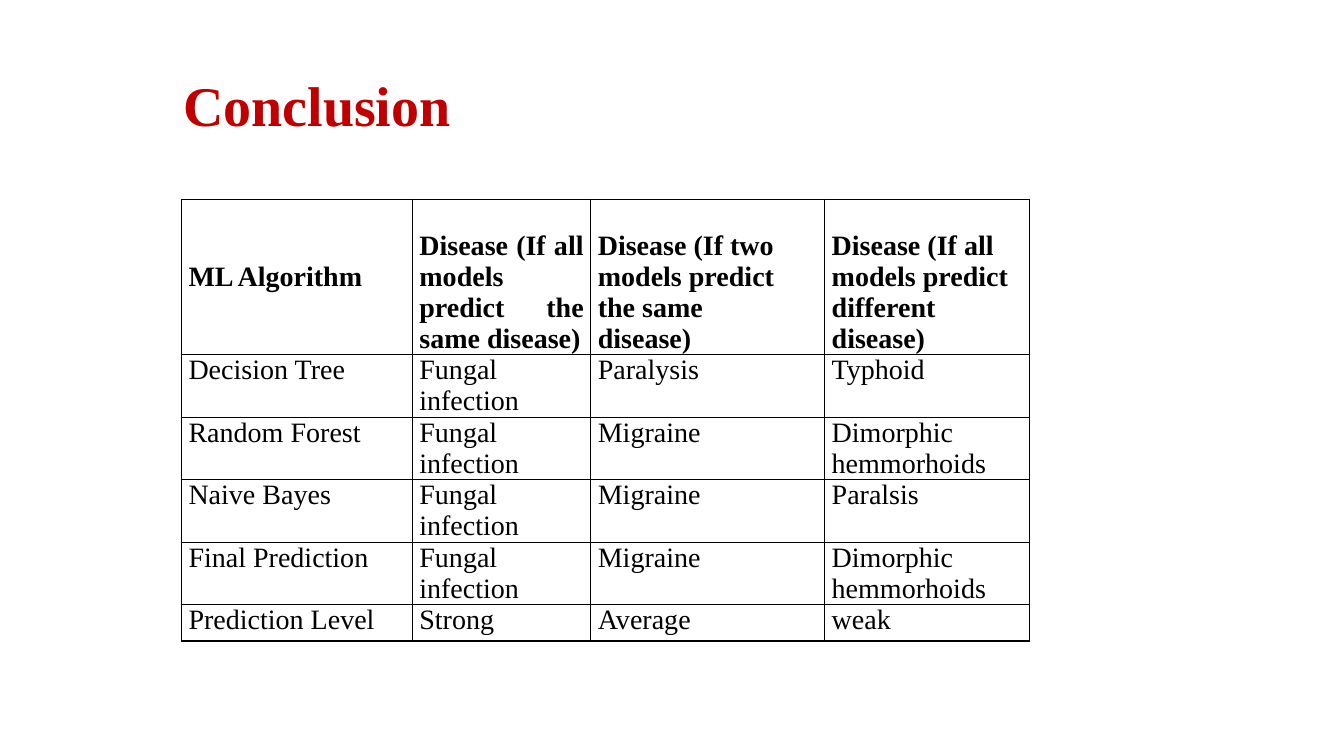
import pptx
import pptx.dml.color
import pptx.enum.text
import pptx.oxml
import pptx.util
from pptx.util import Inches

RED = pptx.dml.color.RGBColor(0xC0, 0x00, 0x00)
BLACK = pptx.dml.color.RGBColor(0x00, 0x00, 0x00)
WHITE = pptx.dml.color.RGBColor(0xFF, 0xFF, 0xFF)

LEFT = pptx.enum.text.PP_ALIGN.LEFT
JUSTIFY = pptx.enum.text.PP_ALIGN.JUSTIFY
ANCHOR = pptx.enum.text.MSO_ANCHOR

TITLE_FONT = {"name": "Times New Roman", "size": pptx.util.Pt(40), "bold": True}
HEADER_FONT = {"name": "Times New Roman", "size": pptx.util.Pt(20), "bold": True}
BODY_FONT = {**HEADER_FONT, "bold": False}
CELL_MARGINS = {
    "margin_left": Inches(0.07), "margin_right": Inches(0.07),
    "margin_top": 0, "margin_bottom": 0,
}

COLUMN_WIDTHS = [2.29, 1.77, 2.32, 2.03]
ROW_HEIGHTS = [1.54] + [0.62] * 4 + [0.36]
HEADERS = [
    [("ML Algorithm", LEFT)],
    [("Disease (If all models predict the same disease)", JUSTIFY)],
    [("Disease (If two", LEFT), ("models predict", LEFT),
     ("the same", LEFT), ("disease)", JUSTIFY)],
    [("Disease (If all", LEFT), ("models predict", LEFT),
     ("different disease)", JUSTIFY)],
]
PREDICTIONS = [
    ["Decision Tree", "Fungal infection", "Paralysis", "Typhoid"],
    ["Random Forest", "Fungal infection", "Migraine", "Dimorphic hemmorhoids"],
    ["Naive Bayes", "Fungal infection", "Migraine", "Paralsis"],
    ["Final Prediction", "Fungal infection", "Migraine", "Dimorphic hemmorhoids"],
    ["Prediction Level", "Strong", "Average", "weak"],
]


def apply_format(target, values):
    for attribute, value in values.items():
        setattr(target, attribute, value)


def write_lines(frame, lines, font, color):
    for index, (text, alignment) in enumerate(lines):
        paragraph = frame.add_paragraph() if index else frame.paragraphs[0]
        paragraph.alignment = alignment
        run = paragraph.add_run()
        run.text = text
        apply_format(run.font, font)
        run.font.color.rgb = color


def add_borders(cell):
    properties = cell._tc.get_or_add_tcPr()
    for position, side in enumerate(("lnL", "lnR", "lnT", "lnB")):
        border = pptx.oxml.parse_xml(
            f'<a:{side} xmlns:a="http://schemas.openxmlformats.org/drawingml/2006/main" '
            f'w="12700"><a:solidFill><a:srgbClr val="{BLACK}"/></a:solidFill></a:{side}>'
        )
        properties.insert(position, border)


def fill_cell(cell, lines, font, anchor):
    apply_format(cell, {**CELL_MARGINS, "vertical_anchor": anchor})
    cell.fill.solid()
    cell.fill.fore_color.rgb = WHITE
    add_borders(cell)
    write_lines(cell.text_frame, lines, font, BLACK)


def add_title(slide, text):
    title = slide.shapes.add_textbox(Inches(1.72), Inches(0.65), Inches(9.16), Inches(0.77))
    apply_format(title.text_frame, {"word_wrap": True, "vertical_anchor": ANCHOR.MIDDLE})
    write_lines(title.text_frame, [(text, LEFT)], TITLE_FONT, RED)


def add_prediction_table(slide):
    predictions = slide.shapes.add_table(
        len(ROW_HEIGHTS), len(COLUMN_WIDTHS), Inches(1.8), Inches(1.98),
        Inches(sum(COLUMN_WIDTHS)), Inches(sum(ROW_HEIGHTS)),
    ).table
    apply_format(predictions, {"first_row": False, "horz_banding": False})
    for column, width in zip(predictions.columns, COLUMN_WIDTHS):
        column.width = Inches(width)
    for row, height in zip(predictions.rows, ROW_HEIGHTS):
        row.height = Inches(height)
    for column, lines in enumerate(HEADERS):
        anchor = ANCHOR.BOTTOM if column else ANCHOR.MIDDLE
        fill_cell(predictions.cell(0, column), lines, HEADER_FONT, anchor)
    for row, values in enumerate(PREDICTIONS, 1):
        for column, text in enumerate(values):
            fill_cell(predictions.cell(row, column), [(text, JUSTIFY)], BODY_FONT, ANCHOR.TOP)


def main():
    presentation = pptx.Presentation()
    apply_format(presentation, {"slide_width": Inches(13.33), "slide_height": Inches(7.5)})
    slide = presentation.slides.add_slide(presentation.slide_layouts[6])
    add_prediction_table(slide)
    add_title(slide, "Conclusion")
    presentation.save("out.pptx")


if __name__ == "__main__":
    main()
